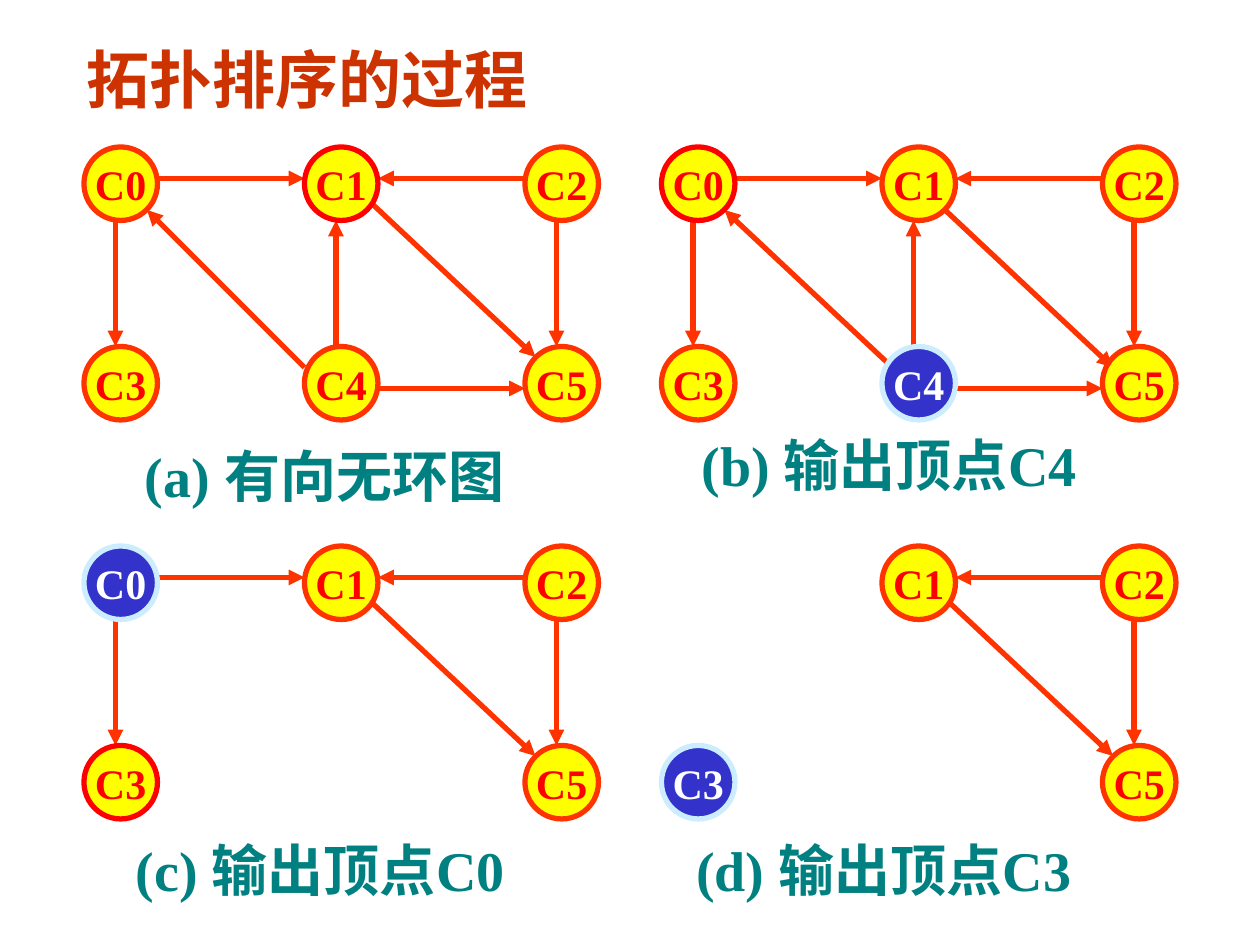
from dataclasses import dataclass, field

from lxml import etree
from pptx import Presentation
from pptx.dml.color import RGBColor
from pptx.enum.shapes import MSO_CONNECTOR, MSO_SHAPE
from pptx.enum.text import MSO_ANCHOR, MSO_AUTO_SIZE, PP_ALIGN
from pptx.oxml.ns import qn
from pptx.shapes.shapetree import SlideShapes
from pptx.text.text import TextFrame
from pptx.util import Pt

LINE = MSO_CONNECTOR.STRAIGHT
OVAL = MSO_SHAPE.OVAL
MIDDLE, TOP = MSO_ANCHOR.MIDDLE, MSO_ANCHOR.TOP
LEFT, CENTER = PP_ALIGN.LEFT, PP_ALIGN.CENTER
NO_FIT = MSO_AUTO_SIZE.NONE

ORANGE = RGBColor(0xFF, 0x33, 0x00)
RED = RGBColor(0xFF, 0x00, 0x00)
YELLOW = RGBColor(0xFF, 0xFF, 0x00)
BLUE = RGBColor(0x33, 0x33, 0xCC)
PALE = RGBColor(0xCC, 0xEC, 0xFF)
WHITE = RGBColor(0xFF, 0xFF, 0xFF)
BRICK = RGBColor(0xCC, 0x33, 0x00)
TEAL = RGBColor(0x00, 0x80, 0x80)

FONT = "Times New Roman"
PX = 9525  # EMU in one px, 96 px to the inch
SIZE = 56
STEP_X, STEP_Y = 168, 152
COLS = 3
LABEL_W, LABEL_H = 336, 61

Span = tuple[int, int, int, int]

# Ends of each edge, measured from the corner of its panel
EDGES: dict[str, Span] = {
    "C0-C1": (56, 24, 168, 24),
    "C2-C1": (336, 24, 224, 24),
    "C0-C3": (24, 56, 24, 152),
    "C4-C1": (192, 152, 192, 56),
    "C4-C0": (168, 168, 48, 48),
    "C4-C5": (224, 184, 336, 184),
    "C2-C5": (360, 56, 360, 152),
    "C1-C5": (216, 40, 344, 160),
}


@dataclass
class Panel:
    left: int
    top: int
    nodes: str
    edges: list[str]
    label: str
    spot: tuple[int, int]
    output: str = ""
    ready: str = ""
    moved: dict[str, Span] = field(default_factory=dict)


PANELS = [
    Panel(64, 112, "012345", list(EDGES), "(a) 有向无环图",
          (101, 332), ready="1"),
    Panel(504, 112, "012345", list(EDGES), "(b) 输出顶点C4",
          (525, 323), output="4", ready="0",
          moved={"C4-C1": (192, 168, 192, 56),
                 "C4-C0": (176, 168, 48, 48),
                 "C1-C5": (216, 48, 344, 168)}),
    Panel(64, 416, "01235", ["C0-C1", "C2-C1", "C0-C3", "C2-C5", "C1-C5"],
          "(c) 输出顶点C0", (94, 632), output="0", ready="3"),
    Panel(504, 416, "1235", ["C2-C1", "C2-C5", "C1-C5"],
          "(d) 输出顶点C3", (521, 632), output="3"),
]


def write(frame: TextFrame, text: str, size: int, color: RGBColor,
          align: PP_ALIGN = LEFT, anchor: MSO_ANCHOR = TOP) -> None:
    frame.vertical_anchor = anchor
    para = frame.paragraphs[0]
    para.alignment = align
    run = para.add_run()
    run.text = text
    run.font.name = FONT
    run.font.size = Pt(size)
    run.font.bold = True
    run.font.color.rgb = color


def draw_title(shapes: SlideShapes, text: str) -> None:
    title = shapes.title
    title.left, title.top = 56 * PX, 24 * PX
    title.width, title.height = 400 * PX, 72 * PX
    title.text_frame.word_wrap = True
    title.text_frame.auto_size = NO_FIT
    write(title.text_frame, text, 36, BRICK, anchor=MIDDLE)


def draw_edge(shapes: SlideShapes, panel: Panel, name: str) -> None:
    x1, y1, x2, y2 = panel.moved.get(name, EDGES[name])
    edge = shapes.add_connector(
        LINE, (panel.left + x1) * PX, (panel.top + y1) * PX,
        (panel.left + x2) * PX, (panel.top + y2) * PX)
    edge.line.color.rgb = ORANGE
    edge.line.width = Pt(3)
    etree.SubElement(edge.line._get_or_add_ln(), qn("a:tailEnd"), type="triangle")
    etree.SubElement(edge._element.spPr, qn("a:effectLst"))


def draw_node(shapes: SlideShapes, panel: Panel, key: str) -> None:
    row, col = divmod(int(key), COLS)
    node = shapes.add_shape(
        OVAL, (panel.left + col * STEP_X) * PX,
        (panel.top + row * STEP_Y) * PX, SIZE * PX, SIZE * PX)
    fill, line, ink = YELLOW, ORANGE, RED
    if key == panel.output:
        fill, line, ink = BLUE, PALE, WHITE
    elif key == panel.ready:
        line = RED
    node.shadow.inherit = False
    node.fill.solid()
    node.fill.fore_color.rgb = fill
    node.line.color.rgb = line
    node.line.width = Pt(3)
    node.text_frame.word_wrap = False
    write(node.text_frame, "C" + key, 24, ink, CENTER, MIDDLE)


def draw_label(shapes: SlideShapes, panel: Panel) -> None:
    left, top = panel.spot
    box = shapes.add_textbox(left * PX, top * PX, LABEL_W * PX, LABEL_H * PX)
    box.text_frame.word_wrap = True
    box.text_frame.auto_size = NO_FIT
    write(box.text_frame, panel.label, 32, TEAL)


def main() -> None:
    deck = Presentation()
    deck.slide_width, deck.slide_height = 960 * PX, 720 * PX
    shapes = deck.slides.add_slide(deck.slide_layouts[5]).shapes
    draw_title(shapes, "拓扑排序的过程")
    for panel in PANELS:
        for name in panel.edges:
            draw_edge(shapes, panel, name)
        for key in panel.nodes:
            draw_node(shapes, panel, key)
        draw_label(shapes, panel)
    deck.save("out.pptx")


if __name__ == "__main__":
    main()
